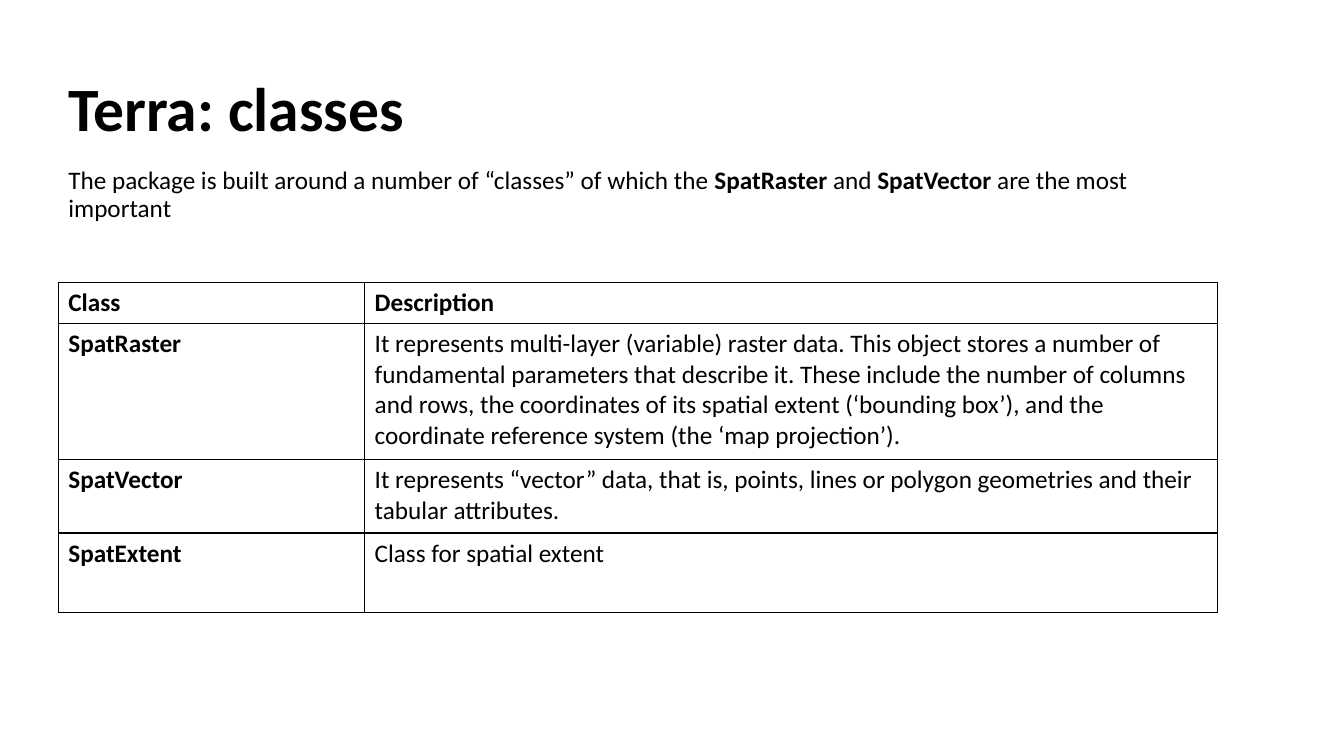
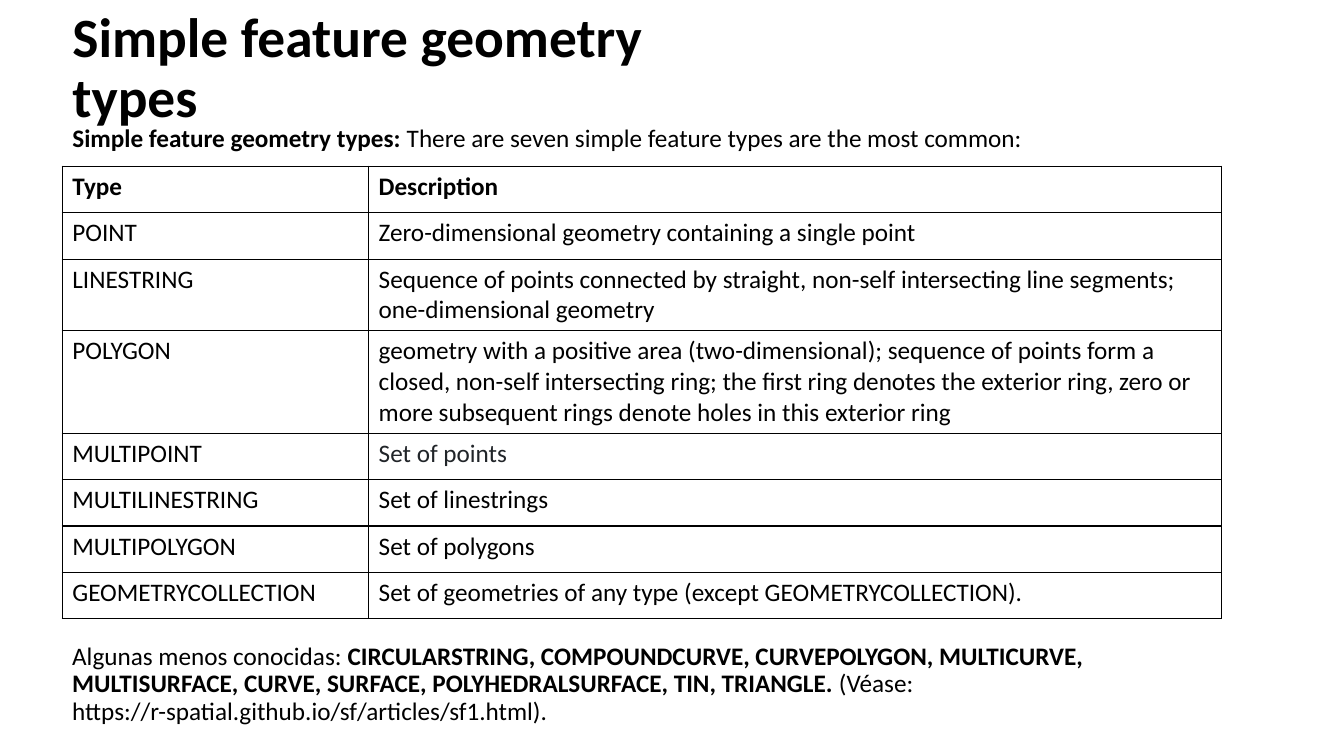
from dataclasses import dataclass

from lxml.etree import SubElement
from pptx import Presentation
from pptx.dml.color import RGBColor
from pptx.enum.text import MSO_ANCHOR as Anchor, MSO_AUTO_SIZE as AutoSize, PP_ALIGN as Align
from pptx.oxml.ns import qn
from pptx.util import Cm, Pt


@dataclass(frozen=True)
class Theme:
    font: str = "Calibri"
    ink: RGBColor = RGBColor(0x00, 0x00, 0x00)
    soft_ink: RGBColor = RGBColor(0x21, 0x25, 0x29)
    title_size: float = 44
    long_title_size: float = 39.6
    text_size: float = 18
    line_spacing: float = 0.9
    border_width: float = 1


THEME = Theme()
SLIDE_WIDTH, SLIDE_HEIGHT = Cm(33.87), Cm(19.05)
TITLE_WIDTH, TITLE_HEIGHT = Cm(17.78), Cm(2.59)
CONTENT_WIDTH = Cm(29.21)
CLASS_COLUMN = Cm(7.72)

CLASS_INTRO = [
    ("The package is built around a number of “classes” of which the ", False),
    ("SpatRaster ", True),
    ("and ", False),
    ("SpatVector ", True),
    ("are the most important", False),
]
CLASSES = [
    ("Class", "Description"),
    ("SpatRaster",
     "It represents multi-layer (variable) raster data. This object stores a number of "
     "fundamental parameters that describe it. These include the number of columns and rows, "
     "the coordinates of its spatial extent (‘bounding box’), and the coordinate reference "
     "system (the ‘map projection’)."),
    ("SpatVector",
     "It represents “vector” data, that is, points, lines or polygon geometries and their "
     "tabular attributes."),
    ("SpatExtent", "Class for spatial extent"),
]
CLASS_ROW_HEIGHTS = [Cm(1.04), Cm(3.43), Cm(1.85), Cm(2.01)]

GEOMETRY_INTRO = [
    ("Simple feature geometry types: ", True),
    ("There are seven simple feature types are the most common:", False),
]
GEOMETRIES = [
    ("Type", "Description"),
    ("POINT", "Zero-dimensional geometry containing a single point"),
    ("LINESTRING",
     "Sequence of points connected by straight, non-self intersecting line segments; "
     "one-dimensional geometry"),
    ("POLYGON",
     "geometry with a positive area (two-dimensional); sequence of points form a closed, "
     "non-self intersecting ring; the first ring denotes the exterior ring, zero or more "
     "subsequent rings denote holes in this exterior ring"),
    ("MULTIPOINT", "Set of points"),
    ("MULTILINESTRING", "Set of linestrings"),
    ("MULTIPOLYGON", "Set of polygons"),
    ("GEOMETRYCOLLECTION", "Set of geometries of any type (except GEOMETRYCOLLECTION)."),
]
GEOMETRY_ROW_HEIGHTS = [Cm(1.17)] * len(GEOMETRIES)
LESS_KNOWN = [
    ("Algunas menos conocidas: ", False),
    ("CIRCULARSTRING, COMPOUNDCURVE, CURVEPOLYGON, MULTICURVE, MULTISURFACE, CURVE, SURFACE, "
     "POLYHEDRALSURFACE, TIN, TRIANGLE. ", True),
    ("(Véase: https://r-spatial.github.io/sf/articles/sf1.html).", False),
]


def style_font(font, size=THEME.text_size, bold=None, color=THEME.ink):
    font.name, font.size, font.bold = THEME.font, Pt(size), bold
    font.color.rgb = color


def place(shape, left, top, width, height):
    shape.left, shape.top, shape.width, shape.height = left, top, width, height


def fill_title(title, text, left, top, size):
    place(title, left, top, TITLE_WIDTH, TITLE_HEIGHT)
    frame = title.text_frame
    frame.text = text
    frame.auto_size, frame.vertical_anchor = AutoSize.NONE, Anchor.MIDDLE
    heading = frame.paragraphs[0]
    heading.alignment, heading.line_spacing = Align.LEFT, THEME.line_spacing
    style_font(heading.font, size, bold=True)


def fill_text(frame, phrases):
    """Write (text, bold) phrases as one paragraph without a bullet."""
    frame.word_wrap, frame.auto_size = True, AutoSize.NONE
    paragraph = frame.paragraphs[0]
    properties = paragraph._p.get_or_add_pPr()
    properties.set("marL", "0")
    properties.set("indent", "0")
    SubElement(properties, qn("a:buNone"))
    paragraph.line_spacing, paragraph.space_before = THEME.line_spacing, Pt(0)
    style_font(paragraph.font)
    for text, bold in phrases:
        run = paragraph.add_run()
        run.text, run.font.bold = text, bold


def outline_cell(cell):
    properties = cell._tc.get_or_add_tcPr()
    for side in ("a:lnL", "a:lnR", "a:lnT", "a:lnB"):
        line = SubElement(properties, qn(side), w=str(Pt(THEME.border_width)))
        ink = SubElement(line, qn("a:solidFill"))
        SubElement(ink, qn("a:srgbClr"), val=str(THEME.ink))
    cell.fill.background()


def add_definitions(slide, entries, left, top, row_heights, bold_terms=False, soft_row=None):
    """Add a bordered two-column table of terms; soft_row has a greyer description."""
    table = slide.shapes.add_table(
        len(entries), 2, left, top, CONTENT_WIDTH, sum(row_heights)).table
    table.first_row = table.horz_banding = False
    table.columns[0].width = CLASS_COLUMN
    table.columns[1].width = CONTENT_WIDTH - CLASS_COLUMN
    for row, (entry, height) in enumerate(zip(entries, row_heights)):
        table.rows[row].height = height
        for column, text in enumerate(entry):
            cell = table.cell(row, column)
            cell.text = text
            outline_cell(cell)
            is_soft = row == soft_row and column == 1
            style_font(cell.text_frame.paragraphs[0].font,
                       bold=row == 0 or (bold_terms and column == 0),
                       color=THEME.soft_ink if is_soft else THEME.ink)


def add_topic_slide(deck, title, intro, left, top, title_size, intro_height):
    """Add a slide with a title and, directly below it, an introduction."""
    slide = deck.slides.add_slide(deck.slide_layouts[1])
    fill_title(slide.shapes.title, title, left, top, title_size)
    body = slide.placeholders[1]
    place(body, left, top + TITLE_HEIGHT, CONTENT_WIDTH, intro_height)
    fill_text(body.text_frame, intro)
    return slide


def add_classes_slide(deck):
    left = Cm(1.47)
    slide = add_topic_slide(deck, "Terra: classes", CLASS_INTRO, left, Cm(1.52),
                            THEME.title_size, Cm(1.9))
    add_definitions(slide, CLASSES, left, Cm(7.11), CLASS_ROW_HEIGHTS, bold_terms=True)


def add_geometries_slide(deck):
    left = Cm(1.57)
    slide = add_topic_slide(deck, "Simple feature geometry types", GEOMETRY_INTRO, left,
                            Cm(0.46), THEME.long_title_size, Cm(0.97))
    add_definitions(slide, GEOMETRIES, left, Cm(4.19), GEOMETRY_ROW_HEIGHTS, soft_row=4)
    less_known = slide.shapes.add_textbox(left, Cm(16.1), CONTENT_WIDTH, Cm(2.41))
    fill_text(less_known.text_frame, LESS_KNOWN)


def main():
    deck = Presentation()
    deck.slide_width, deck.slide_height = SLIDE_WIDTH, SLIDE_HEIGHT
    add_classes_slide(deck)
    add_geometries_slide(deck)
    deck.save("out.pptx")


if __name__ == "__main__":
    main()
